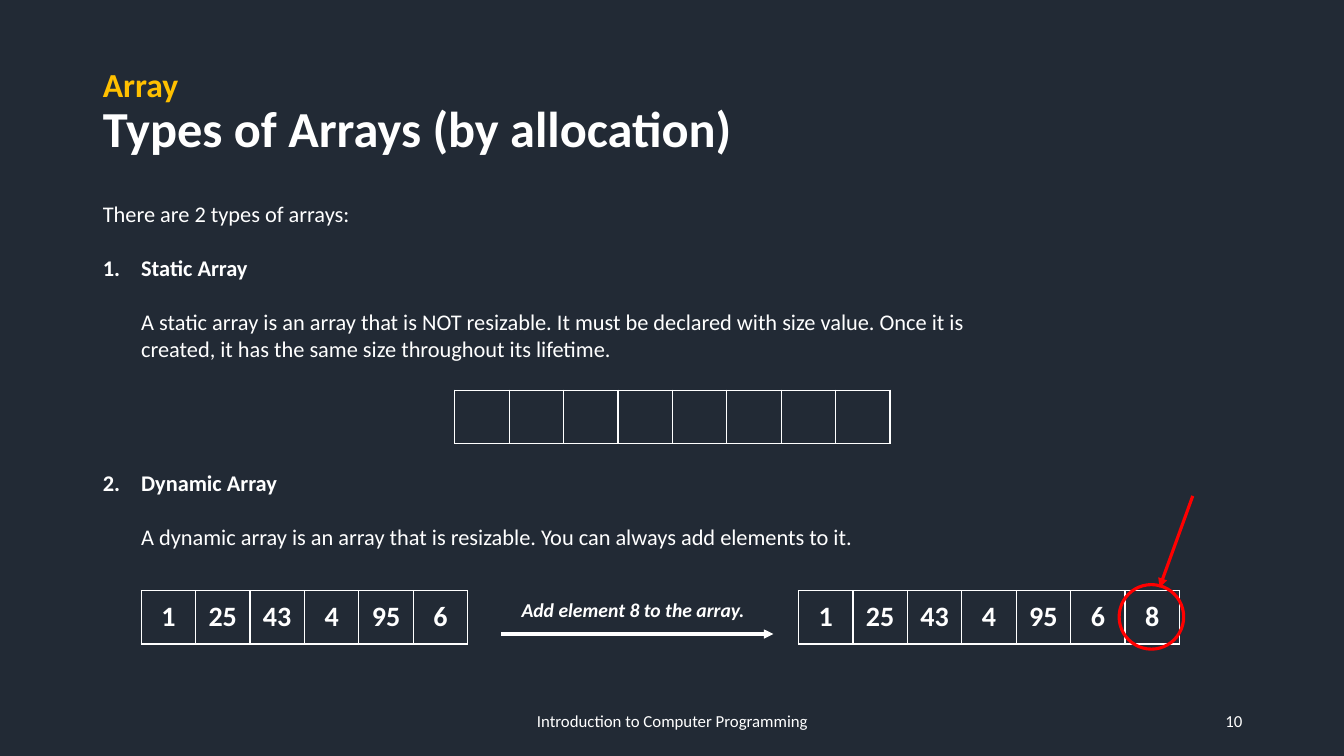
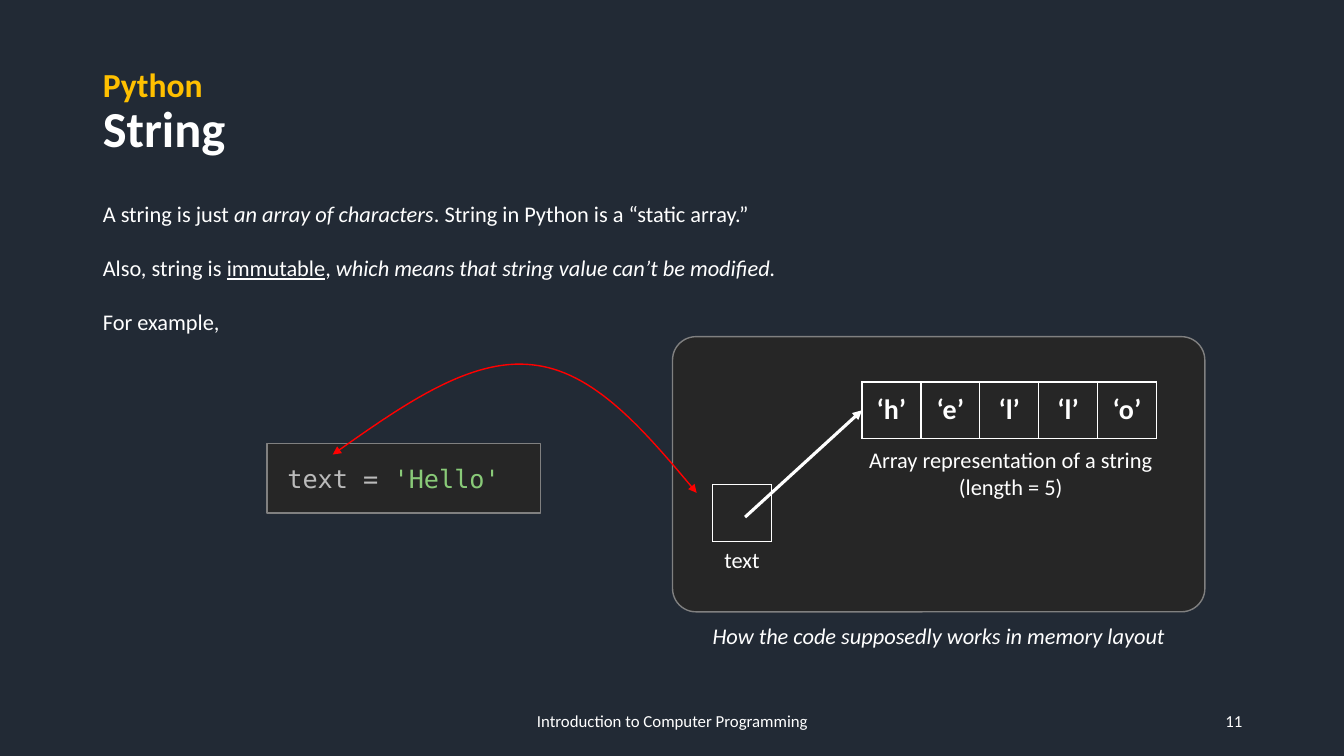
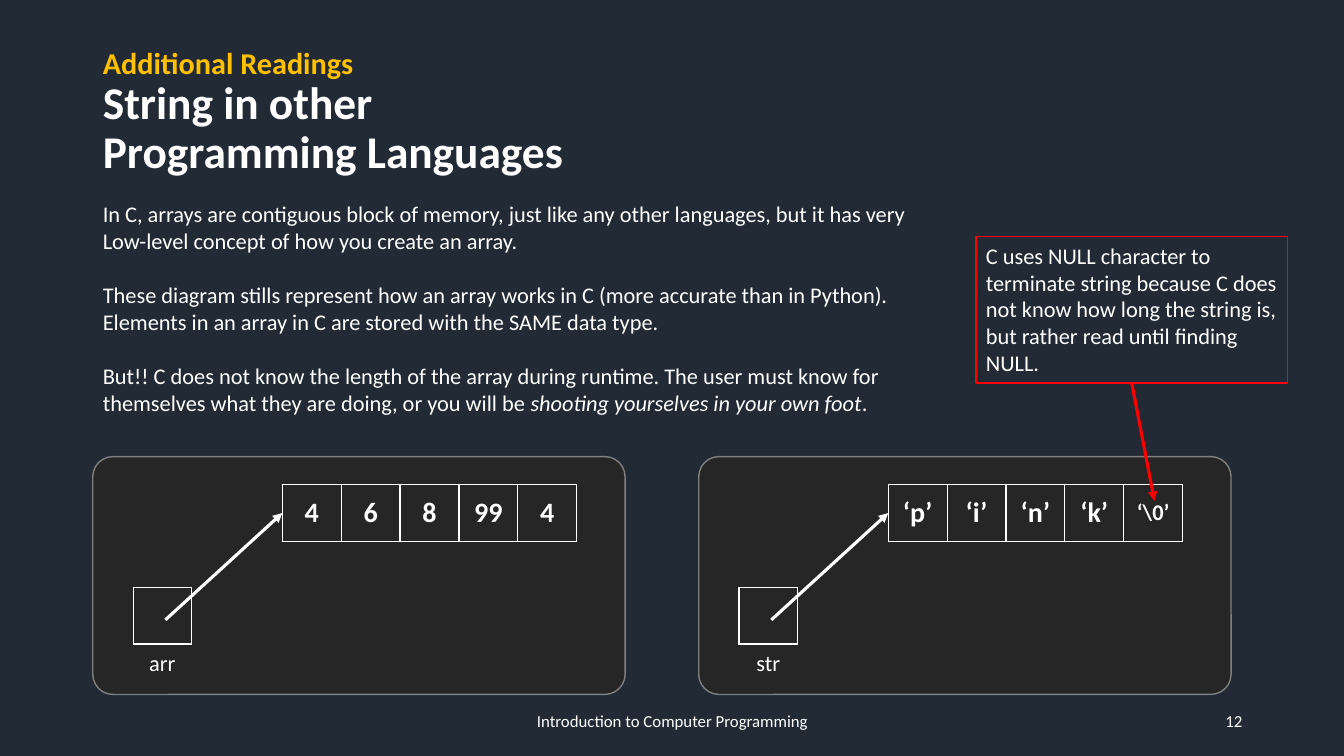
from lxml.etree import SubElement
from pptx import Presentation
from pptx.dml.color import RGBColor
from pptx.enum.shapes import MSO_CONNECTOR, MSO_SHAPE
from pptx.enum.text import MSO_ANCHOR, MSO_AUTO_SIZE, PP_ALIGN
from pptx.oxml.ns import qn
from pptx.util import Inches, Pt

COLORS = {
    "background": "222A35",
    "panel": "262626",
    "outline": "808080",
    "text": "FFFFFF",
    "accent": "FFC000",
    "mark": "FF0000",
    "code": "BBBBBB",
    "string": "89CA78",
}
BODY_FONT, CODE_FONT = "Calibri", "DejaVu Sans Mono"
COURSE = "Introduction to Computer Programming"
FIRST_NUMBER = 10
LINE_GAP = 19.2  # one line of 16 pt text, in points
INDENT = 0.38
BOLD, ITALIC = {"bold": True}, {"italic": True}


def rgb(name):
    return RGBColor.from_string(COLORS[name])


# Text
def add_spans(para, spans, **base):
    """Add runs; spans is a string or a list of (text, format) pairs."""
    if isinstance(spans, str):
        spans = [(spans, {})]
    for text, extra in spans:
        values = {"name": BODY_FONT, "size": 16, "color": "text", **base, **extra}
        span = para.add_run()
        span.text = text
        span.font.color.rgb = rgb(values.pop("color"))
        values["size"] = Pt(values["size"])
        for key, value in values.items():
            setattr(span.font, key, value)


def fill_frame(frame, lines, align=PP_ALIGN.LEFT, anchor=MSO_ANCHOR.TOP, **base):
    frame.word_wrap = True
    frame.auto_size = MSO_AUTO_SIZE.NONE
    frame.vertical_anchor = anchor
    for index, line in enumerate(lines):
        para = frame.add_paragraph() if index else frame.paragraphs[0]
        para.alignment = align
        add_spans(para, line, **base)


def add_label(page, area, *lines, align=PP_ALIGN.CENTER, **base):
    box = page.shapes.add_textbox(*map(Inches, area))
    fill_frame(box.text_frame, lines, align, **base)


def place(shape, area):
    for key, value in zip(("left", "top", "width", "height"), area):
        setattr(shape, key, Inches(value))


def fill_body(page, area, items):
    """Each item is (spans, blank lines above, indent, list number)."""
    body = page.placeholders[1]
    place(body, area)
    fill_frame(body.text_frame, [item[0] for item in items])
    for para, (_, gap, indent, number) in zip(body.text_frame.paragraphs, items):
        para.space_before = Pt(gap * LINE_GAP)
        props = para._p.get_or_add_pPr()
        props.set("marL", str(Inches(indent)))
        props.set("indent", str(Inches(-indent if number else 0)))
        if number:
            SubElement(props, qn("a:buFont"), typeface="+mj-lt")
            SubElement(props, qn("a:buAutoNum"), type="arabicPeriod", startAt=str(number))
        else:
            SubElement(props, qn("a:buNone"))


# Shapes and lines
def add_box(page, kind, area, line, width, fill=None):
    shape = page.shapes.add_shape(kind, *map(Inches, area))
    shape.shadow.inherit = False
    if fill:
        shape.fill.solid()
        shape.fill.fore_color.rgb = rgb(fill)
    else:
        shape.fill.background()
    shape.line.color.rgb = rgb(line)
    shape.line.width = Pt(width)
    return shape


def add_heads(shape, *ends):
    for end in ends:
        SubElement(shape.line._get_or_add_ln(), qn(f"a:{end}"), type="triangle")


def add_arrow(page, start, end, color):
    arrow = page.shapes.add_connector(
        MSO_CONNECTOR.STRAIGHT, *map(Inches, (*start, *end)))
    arrow.line.color.rgb = rgb(color)
    arrow.line.width = Pt(2.25)
    add_heads(arrow, "tailEnd")
    SubElement(arrow._element.spPr, qn("a:effectLst"))
    return arrow


def add_curve(page, start, controls, color):
    """Draw cubic curves; every three points of controls make one."""
    points = [tuple(map(Inches, point)) for point in controls]
    builder = page.shapes.build_freeform(*map(Inches, start))
    builder.add_line_segments(points, close=False)
    curve = builder.convert_to_shape()
    outline = curve._element.find(".//" + qn("a:path"))
    steps = outline.findall(qn("a:lnTo"))
    for first in range(0, len(steps), 3):
        bend = SubElement(outline, qn("a:cubicBezTo"))
        for step in steps[first:first + 3]:
            bend.append(step[0])
            outline.remove(step)
    curve.shadow.inherit = False
    curve.fill.background()
    curve.line.color.rgb = rgb(color)
    curve.line.width = Pt(1)
    add_heads(curve, "headEnd", "tailEnd")


# Arrays and memory diagrams
def add_cell_borders(cell):
    props = cell._tc.get_or_add_tcPr()
    for index, side in enumerate(("lnL", "lnR", "lnT", "lnB")):
        border = SubElement(props, qn(f"a:{side}"), w=str(Pt(1)))
        fill = SubElement(border, qn("a:solidFill"))
        SubElement(fill, qn("a:srgbClr"), val=COLORS["text"])
        props.insert(index, border)


def add_array(page, area, values):
    table = page.shapes.add_table(1, len(values), *map(Inches, area)).table
    table.first_row = table.horz_banding = False
    for column, value in zip(table.columns, values):
        column.width = Inches(area[2] / len(values))
    for cell, value in zip(table.iter_cells(), values):
        cell.margin_left = cell.margin_right = Inches(0.05)
        cell.vertical_anchor = MSO_ANCHOR.MIDDLE
        cell.fill.background()
        add_cell_borders(cell)
        if value:
            para = cell.text_frame.paragraphs[0]
            para.alignment = PP_ALIGN.CENTER
            add_spans(para, value, **{"size": 20, "bold": True})


def add_memory(page, left, top, height, inset, name, values):
    """Draw a panel with a named pointer cell and the array it points to."""
    panel = add_box(page, MSO_SHAPE.ROUNDED_RECTANGLE, (left, top, 5.28, height),
                    "outline", 1, "panel")
    panel.adjustments[0] = 0.085
    array_left, array_top = left + 1.88, top + inset
    pointer_left, pointer_top = left + 0.4, array_top + 1.02
    add_array(page, (array_left, array_top, 2.92, 0.56), values)
    add_array(page, (pointer_left, pointer_top, 0.58, 0.56), [""])
    add_label(page, (left + 0.21, pointer_top + 0.56, 0.96, 0.37), name)
    add_arrow(page, (pointer_left + 0.32, pointer_top + 0.32),
              (array_left, array_top + 0.28), "text")


# Shared page frame
def add_page(deck, number, topic, *title_lines, scale=1):
    page = deck.slides.add_slide(deck.slide_layouts[1])
    title = page.shapes.title
    place(title, (0.92, 0.4, 11.5, 1.45))
    lines = [[(topic, {"size": 24 * scale, "color": "accent"})]]
    lines += [[(line, {"size": 36 * scale})] for line in title_lines]
    fill_frame(title.text_frame, lines, anchor=MSO_ANCHOR.MIDDLE, bold=True)
    for para in title.text_frame.paragraphs:
        para.line_spacing = 0.9
        para.space_before = Pt(0)
    footer = {"size": 12, "anchor": MSO_ANCHOR.MIDDLE}
    add_label(page, (4.42, 6.95, 4.5, 0.4), COURSE, **footer)
    add_label(page, (9.42, 6.95, 3, 0.4), str(number), align=PP_ALIGN.RIGHT, **footer)
    return page


# Pages
def build_array_types(deck, number):
    page = add_page(deck, number, "Array", "Types of Arrays (by allocation)")
    fill_body(page, (0.92, 1.94, 8.89, 3.6), [
        ("There are 2 types of arrays:", 0, 0, None),
        ([("Static Array", BOLD)], 1, INDENT, 1),
        ("A static array is an array that is NOT resizable. It must be declared "
         "with size value. Once it is created, it has the same size throughout "
         "its lifetime.", 1, INDENT, None),
        ([("Dynamic Array", BOLD)], 4, INDENT, 2),
        ("A dynamic array is an array that is resizable. You can always add "
         "elements to it.", 1, INDENT, None),
    ])
    before = ["1", "25", "43", "4", "95", "6"]
    for left, top, values in ((4.51, 3.87, [""] * 8), (1.4, 5.86, before),
                              (7.92, 5.86, before + ["8"])):
        add_array(page, (left, top, 0.54 * len(values), 0.53), values)
    add_arrow(page, (4.97, 6.29), (7.67, 6.29), "text")
    add_label(page, (4.89, 5.88, 2.78, 0.34), "Add element 8 to the array.",
              size=14, bold=True, italic=True)
    add_box(page, MSO_SHAPE.OVAL, (11.1, 5.8, 0.64, 0.64), "mark", 2.25)
    add_arrow(page, (11.83, 4.92), (11.5, 5.83), "mark")


def build_string(deck, number):
    page = add_page(deck, number, "Python", "String")
    fill_body(page, (0.92, 1.94, 8.44, 1.45), [
        ([("A string is just ", {}), ("an array of characters", ITALIC),
          (". String in Python is a “static array.”", {})], 0, 0, None),
        ([("Also, string is ", {}), ("immutable", {"underline": True}), (", ", {}),
          ("which means that string value can’t be modified.", ITALIC)], 1, 0, None),
        ("For example,", 1, 0, None),
    ])
    add_memory(page, 6.67, 3.34, 2.73, 0.45, "text", ["‘h’", "‘e’", "‘l’", "‘l’", "‘o’"])
    add_label(page, (8.29, 4.38, 3.47, 0.64),
              "Array representation of a string", "(length = 5)")
    add_label(page, (6.77, 6.12, 5.08, 0.37),
              "How the code supposedly works in memory layout", italic=True)
    code = add_box(page, MSO_SHAPE.RECTANGLE, (2.65, 4.4, 2.71, 0.69),
                   "outline", 1, "panel")
    for side in ("left", "top", "right", "bottom"):
        setattr(code.text_frame, f"margin_{side}", Inches(0.2))
    fill_frame(code.text_frame, [[("text = ", {"color": "code"}),
                                  ("'Hello'", {"color": "string"})]],
               name=CODE_FONT, size=18)
    add_curve(page, (3.3, 4.51), [(3.98, 4.03), (4.67, 3.55), (5.28, 3.62),
                                  (5.88, 3.68), (6.4, 4.28), (6.91, 4.89)], "mark")


def build_other_languages(deck, number):
    page = add_page(deck, number, "Additional Readings", "String in other",
                    "Programming Languages", scale=0.9)
    fill_body(page, (0.92, 1.94, 8.44, 2.26), [
        ("In C, arrays are contiguous block of memory, just like any other "
         "languages, but it has very Low-level concept of how you create an array.",
         0, 0, None),
        ("These diagram stills represent how an array works in C (more accurate "
         "than in Python). Elements in an array in C are stored with the SAME "
         "data type.", 1, 0, None),
        ([("But!! C does not know the length of the array during runtime. The user "
           "must know for themselves what they are doing, or you will be ", {}),
          ("shooting yourselves in your own foot", ITALIC), (".", {})], 1, 0, None),
    ])
    add_memory(page, 0.92, 4.53, 2.36, 0.28, "arr", ["4", "6", "8", "99", "4"])
    add_memory(page, 6.93, 4.53, 2.36, 0.28, "str",
               ["‘p’", "‘i’", "‘n’", "‘k’", [("‘\\0’", {"size": 16})]])
    note = add_box(page, MSO_SHAPE.RECTANGLE, (9.68, 2.35, 3.09, 1.45), "mark", 0.75)
    fill_frame(note.text_frame, [
        "C uses NULL character to terminate string because C does not know how "
        "long the string is, but rather read until finding NULL."])
    arrow = add_arrow(page, (11.23, 3.8), (11.45, 4.97), "mark")
    arrow.begin_connect(note, 2)


def main():
    deck = Presentation()
    deck.slide_width, deck.slide_height = Inches(13.33), Inches(7.5)
    backdrop = deck.slide_masters[0].background.fill
    backdrop.solid()
    backdrop.fore_color.rgb = rgb("background")
    builders = (build_array_types, build_string, build_other_languages)
    for number, build in enumerate(builders, FIRST_NUMBER):
        build(deck, number)
    deck.save("out.pptx")


if __name__ == "__main__":
    main()
